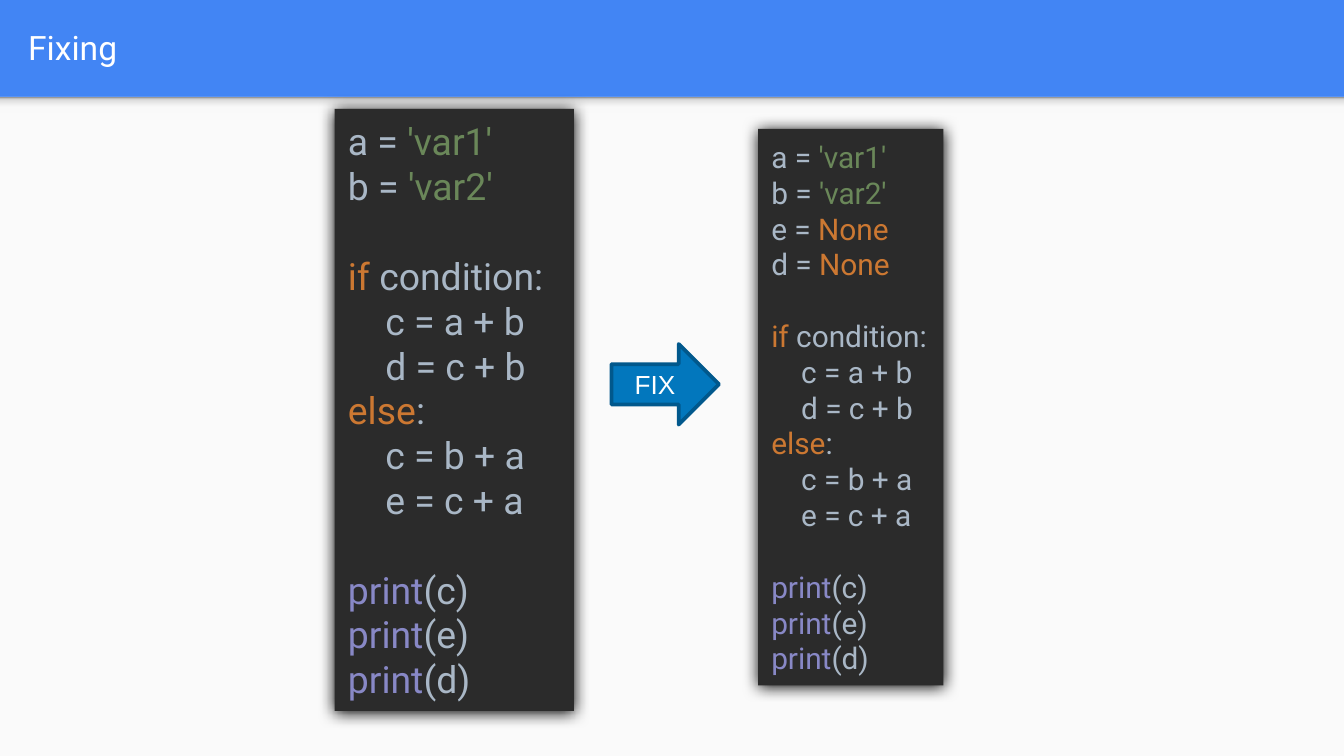
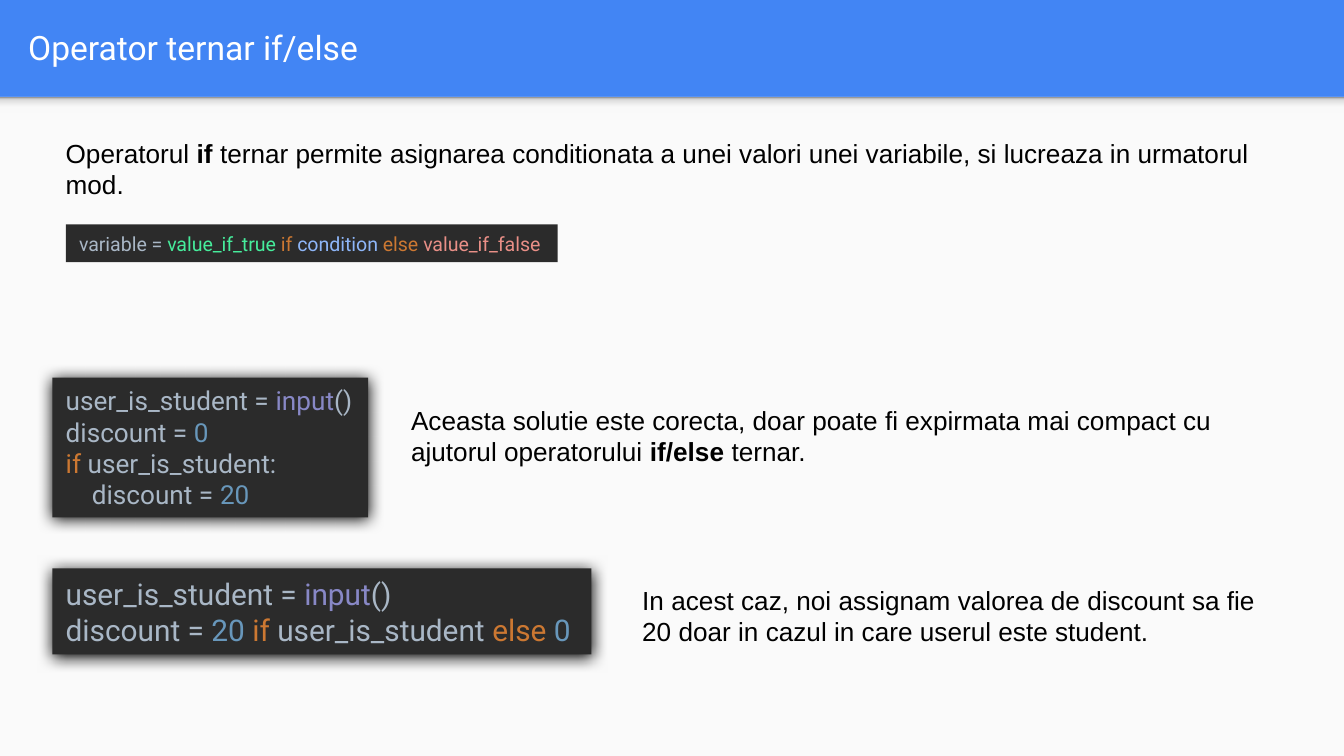
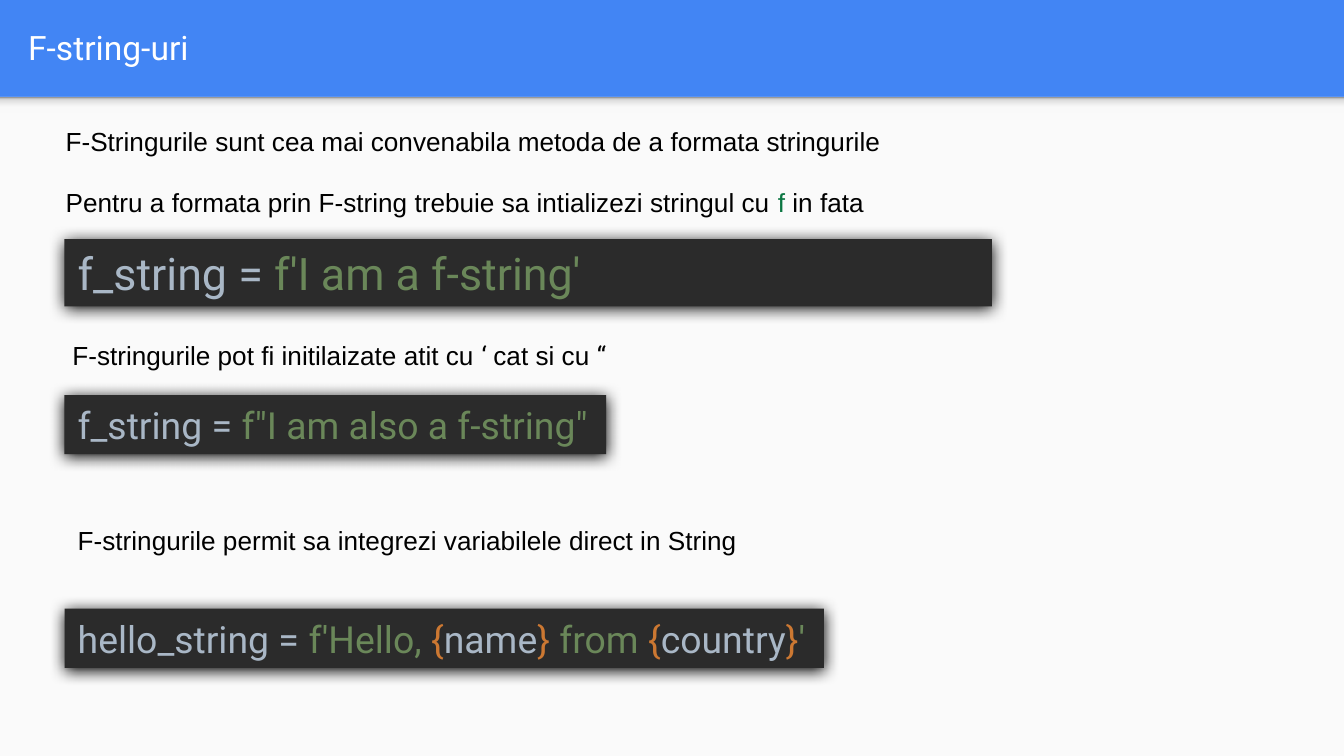
from dataclasses import dataclass

from lxml.etree import SubElement
from pptx import Presentation
from pptx.dml.color import RGBColor
from pptx.enum.shapes import MSO_SHAPE
from pptx.enum.text import MSO_ANCHOR, MSO_AUTO_SIZE, PP_ALIGN
from pptx.oxml import parse_xml
from pptx.oxml.ns import nsdecls, qn
from pptx.util import Inches, Pt

# The grid: 100 columns by 56.25 rows, in square cells
CELL = Inches(0.1)
COLUMNS, ROWS = 100, 56.25
HEADER_ROWS = 7.2

COLORS = {
    "header": "4285F4", "page": "FAFAFA", "white": "FFFFFF", "ink": "000000",
    "editor": "2B2B2B", "arrow": "0277BD", "arrow_edge": "01588C",
    "code": "A9B7C6", "string": "6A8759", "keyword": "CC7832",
    "builtin": "8888C6", "number": "6897BB", "prefix": "0B7642",
    "if_true": "46ED9C", "condition": "8EB6F8", "if_false": "E98F87",
}
EDGE_STOPS = [(0, "F9F9F9"), (36, "F9F9F9"), (80, "DEDEDE"), (100, "999999")]

TITLE_FONT = {"name": "Roboto", "size": Pt(18), "bold": False}
PROSE_FONT = {"name": "Arial", "size": Pt(14), "bold": False}
CODE_FONT = {"name": "Roboto", "bold": False}
# Roles that change the font rather than the colour
ROLE_FONTS = {"strong": {"bold": True}, "quote": {"name": "Roboto"}}
CODE_LEADING = 1.2


@dataclass
class Box:
    """A region of the grid, in columns and rows."""
    left: float
    top: float
    width: float
    height: float

    def area(self, left, top, width, height):
        return Box(self.left + left, self.top + top, width, height)

    def emu(self):
        return [round(n * CELL) for n in (self.left, self.top, self.width, self.height)]


HEADER = Box(1.1, 0.2, 96.5, 6.6)
BODY = Box(0, HEADER_ROWS, COLUMNS, ROWS - HEADER_ROWS)


def rgb(name):
    return RGBColor.from_string(COLORS[name])


def set_attributes(target, values):
    for key, value in values.items():
        setattr(target, key, value)


def set_frame(frame, anchor):
    set_attributes(frame, {"word_wrap": True, "auto_size": MSO_AUTO_SIZE.NONE,
                           "vertical_anchor": anchor})


def add_runs(paragraph, runs, font, color):
    """Each run is plain text or a (text, role) pair."""
    for item in runs:
        text, role = (item, color) if isinstance(item, str) else item
        run = paragraph.add_run()
        run.text = text
        set_attributes(run.font, {**font, **ROLE_FONTS.get(role, {})})
        run.font.color.rgb = rgb(role if role in COLORS else color)


def add_block(shapes, box, fill, preset=MSO_SHAPE.RECTANGLE):
    block = shapes.add_shape(preset, *box.emu())
    block.shadow.inherit = False
    block.fill.solid()
    block.fill.fore_color.rgb = rgb(fill)
    block.line.fill.background()
    return block


def add_prose(slide, box, *paragraphs):
    frame = slide.shapes.add_textbox(*box.emu()).text_frame
    set_frame(frame, MSO_ANCHOR.TOP)
    for index, runs in enumerate(paragraphs):
        paragraph = frame.add_paragraph() if index else frame.paragraphs[0]
        paragraph.space_before = Pt(16 if index else 0)
        add_runs(paragraph, runs, PROSE_FONT, "ink")


def add_code(slide, box, size, lines, shadow=True):
    """Dark editor panel; (level, *runs) is a line, None is a blank one."""
    panel = add_block(slide.shapes, box, "editor")
    if shadow:
        effects = panel.element.spPr.find(qn("a:effectLst"))
        glow = SubElement(effects, qn("a:outerShdw"), blurRad=str(Pt(8.5)),
                          dist=str(Pt(1)), dir="5400000")
        SubElement(glow, qn("a:srgbClr"), val=COLORS["ink"])
    frame = panel.text_frame
    set_frame(frame, MSO_ANCHOR.MIDDLE)
    paragraph, gap = frame.paragraphs[0], 0
    for index, line in enumerate(lines):
        if line is None:
            gap = CODE_LEADING * size
            continue
        level, *runs = line
        if index:
            paragraph = frame.add_paragraph()
        set_attributes(paragraph, {"alignment": PP_ALIGN.LEFT, "space_before": Pt(gap)})
        # Four spaces are as wide as the type is high
        paragraph._p.get_or_add_pPr().set("marL", str(Pt(level * size)))
        add_runs(paragraph, runs, {**CODE_FONT, "size": Pt(size)}, "code")
        gap = 0


def build_layout(presentation):
    """Blue header, light page and the soft edge between them."""
    layout = presentation.slide_layouts.get_by_name("Title Only")
    background = layout.background.fill
    background.solid()
    background.fore_color.rgb = rgb("header")
    title = layout.placeholders[0]
    set_attributes(title, dict(zip(("left", "top", "width", "height"), HEADER.emu())))

    # Shapes are drawn on a slide, then moved behind the layout's placeholders
    slide = presentation.slides.add_slide(layout)
    page = add_block(slide.shapes, BODY, "page")
    edge = add_block(slide.shapes, BODY.area(0, 0, COLUMNS, 1.2), "page")
    stops = "".join(f'<a:gs pos="{share * 1000}"><a:srgbClr val="{color}"/></a:gs>'
                    for share, color in EDGE_STOPS)
    gradient = parse_xml(f'<a:gradFill {nsdecls("a")}><a:gsLst>{stops}</a:gsLst>'
                         '<a:lin ang="16200000" scaled="0"/></a:gradFill>')
    properties = edge.element.spPr
    properties.replace(properties.find(qn("a:solidFill")), gradient)
    for position, band in enumerate((page, edge)):
        layout.shapes.element.insert(2 + position, band.element)
    return layout, slide


def add_title(slide, text):
    frame = slide.shapes.title.text_frame
    set_frame(frame, MSO_ANCHOR.MIDDLE)
    set_attributes(frame, {f"margin_{side}": CELL
                           for side in ("left", "right", "top", "bottom")})
    frame.paragraphs[0].alignment = PP_ALIGN.LEFT
    add_runs(frame.paragraphs[0], [text], TITLE_FONT, "white")


def assign(name, value, role):
    return (0, f"{name} = ", (value, role))


def call_print(name):
    return (0, ("print", "builtin"), f"({name})")


def fill_fixing(slide, box):
    """Code before and after, with an arrow between."""
    variables = [assign("a", "'var1'", "string"), assign("b", "'var2'", "string")]
    defaults = [assign(name, "None", "keyword") for name in "ed"]
    branches = [
        None,
        (0, ("if ", "keyword"), "condition:"),
        (1, "c = a + b"),
        (1, "d = c + b"),
        (0, ("else", "keyword"), ":"),
        (1, "c = b + a"),
        (1, "e = c + a"),
        None,
        *map(call_print, "ced"),
    ]
    add_code(slide, box.area(56.4, 2.4, 13.8, 41.4), 16, variables + defaults + branches)
    add_code(slide, box.area(24.9, 0.9, 17.8, 44.8), 20, variables + branches)

    arrow = add_block(slide.shapes, box.area(45.5, 18.4, 8, 6), "arrow",
                      MSO_SHAPE.RIGHT_ARROW)
    arrow.line.color.rgb = rgb("arrow_edge")
    arrow.line.width = Pt(2)
    set_frame(arrow.text_frame, MSO_ANCHOR.MIDDLE)
    label = arrow.text_frame.paragraphs[0]
    label.alignment = PP_ALIGN.CENTER
    add_runs(label, ["FIX"], PROSE_FONT, "white")


def fill_ternary(slide, box):
    """The operator's pattern, then a long and a short example."""
    read_input = (0, "user_is_student = ", ("input", "builtin"), "()")
    add_prose(slide, box.area(3.9, 2.5, 93.7, 5.7), [
        "Operatorul ", ("if ", "strong"),
        "ternar permite asignarea conditionata a unei valori unei variabile, "
        "si lucreaza in urmatorul mod."])
    add_code(slide, box.area(4.9, 9.5, 36.6, 2.8), 10.5, [
        (0, "variable = ", ("value_if_true ", "if_true"), ("if ", "keyword"),
         ("condition ", "condition"), ("else ", "keyword"),
         ("value_if_false", "if_false"))], shadow=False)

    add_code(slide, box.area(3.9, 20.9, 23.5, 10.4), 14, [
        read_input,
        assign("discount", "0", "number"),
        (0, ("if ", "keyword"), "user_is_student:"),
        (1, "discount = ", ("20", "number"))])
    add_prose(slide, box.area(29.6, 22.4, 65.1, 5.7), [
        "Aceasta solutie este corecta, doar poate fi expirmata mai compact cu "
        "ajutorul operatorului ", ("if/else ", "strong"), "ternar."])

    add_code(slide, box.area(3.9, 35.1, 40.1, 6.4), 16, [
        read_input,
        (0, "discount = ", ("20 ", "number"), ("if ", "keyword"), "user_is_student ",
         ("else ", "keyword"), ("0", "number"))])
    add_prose(slide, box.area(46.8, 35.8, 47.9, 5.7), [
        "In acest caz, noi assignam valorea de discount sa fie 20 doar in cazul "
        "in care userul este student."])


def fill_fstrings(slide, box):
    """Three remarks, each with a line of code below it."""
    add_prose(slide, box.area(3.9, 1.6, 93.7, 8.1),
              ["F-Stringurile sunt cea mai convenabila metoda de a formata stringurile"],
              ["Pentru a formata prin F-string trebuie sa intializezi stringul cu ",
               ("f", "prefix"), " in fata"])
    add_code(slide, box.area(4.8, 10.6, 69, 5), 24,
             [assign("f_string", "f'I am a f-string'", "string")])

    add_prose(slide, box.area(4.4, 17.6, 72.1, 3.4), [
        "F-stringurile pot fi initilaizate atit cu ", ("‘ ", "quote"),
        "cat si cu ", ("“", "quote")])
    add_code(slide, box.area(4.8, 22.2, 40.3, 4.4), 20,
             [assign("f_string", 'f"I am also a f-string"', "string")])

    add_prose(slide, box.area(4.8, 31.3, 80.6, 3.4),
              ["F-stringurile permit sa integrezi variabilele direct in String"])
    opening, closing = ("{", "keyword"), ("}", "keyword")
    add_code(slide, box.area(4.8, 38.1, 56.5, 4.4), 20, [
        (0, "hello_string = ", ("f'Hello, ", "string"), opening, "name", closing,
         (" from ", "string"), opening, "country", closing, ("'", "string"))])


SLIDES = [
    ("Fixing", fill_fixing),
    ("Operator ternar if/else", fill_ternary),
    ("F-string-uri", fill_fstrings),
]

presentation = Presentation()
presentation.slide_width = COLUMNS * CELL
presentation.slide_height = round(ROWS * CELL)
layout, first_slide = build_layout(presentation)
for number, (title, fill_body) in enumerate(SLIDES):
    slide = presentation.slides.add_slide(layout) if number else first_slide
    add_title(slide, title)
    fill_body(slide, BODY)
presentation.save("out.pptx")
